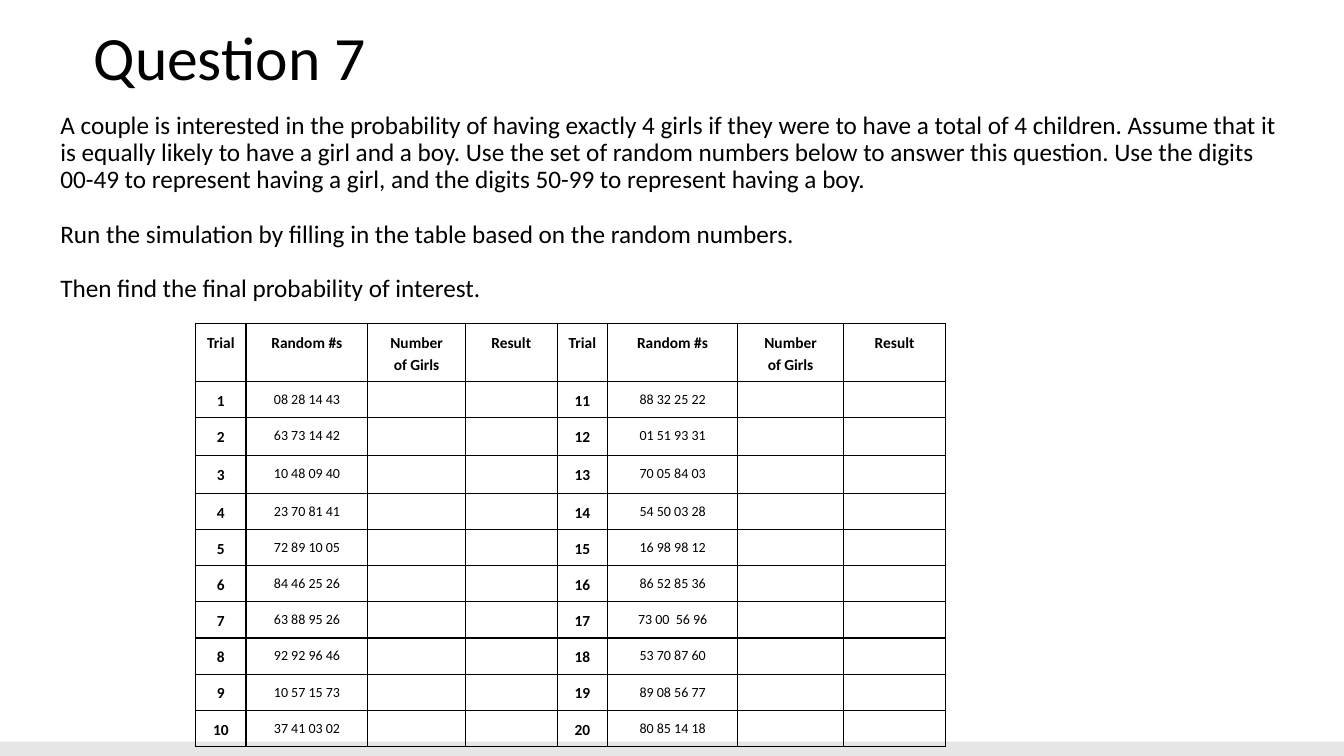
from lxml.etree import SubElement
from pptx import Presentation
from pptx.dml.color import RGBColor
from pptx.enum.shapes import MSO_SHAPE as Shape
from pptx.enum.text import MSO_ANCHOR as Anchor, MSO_AUTO_SIZE as AutoSize, PP_ALIGN as Align
from pptx.oxml.ns import qn
from pptx.util import Cm, Pt

# Content
TITLE = "Question 7"
BODY = [
    "A couple is interested in the probability of having exactly 4 girls if they were to have "
    "a total of 4 children. Assume that it is equally likely to have a girl and a boy. Use the "
    "set of random numbers below to answer this question. Use the digits 00-49 to represent "
    "having a girl, and the digits 50-99 to represent having a boy.",
    "Run the simulation by filling in the table based on the random numbers.",
    "Then find the final probability of interest.",
]
HEADINGS = ["Trial", "Random #s", "Number\nof Girls", "Result"]
RANDOM_NUMBERS = [
    "08 28 14 43", "63 73 14 42", "10 48 09 40", "23 70 81 41", "72 89 10 05",
    "84 46 25 26", "63 88 95 26", "92 92 96 46", "10 57 15 73", "37 41 03 02",
    "88 32 25 22", "01 51 93 31", "70 05 84 03", "54 50 03 28", "16 98 98 12",
    "86 52 85 36", "73 00  56 96", "53 70 87 60", "89 08 56 77", "80 85 14 18",
]
COLUMN_WIDTHS = [1.27, 3.07, 2.46, 2.31, 1.27, 3.28, 2.67, 2.57]
ROW_HEIGHTS = [1.45, 0.91, 0.96, 0.95] + [0.91] * 7
FONT, BLACK, GREY = "Calibri", "000000", "E7E6E6"


def color(value):
    return RGBColor.from_string(value)


def write(frame, lines, size, bold=False, align=Align.LEFT, spacing=0.9, gap=0,
          margin=0.25, anchor=Anchor.TOP):
    """Fill a text frame with one paragraph per line."""
    frame.word_wrap = True
    frame.vertical_anchor = anchor
    frame.margin_left = frame.margin_right = Cm(margin)
    frame.margin_top = frame.margin_bottom = Cm(margin)
    for index, line in enumerate(lines):
        para = frame.add_paragraph() if index else frame.paragraphs[0]
        para.alignment, para.line_spacing = align, spacing
        para.space_before, para.space_after = Pt(gap if index else 0), Pt(0)
        span = para.add_run()
        span.text = line
        span.font.name, span.font.size, span.font.bold = FONT, Pt(size), bold
        span.font.color.rgb = color(BLACK)


def place(shape, left, top, width, height):
    shape.left, shape.top = Cm(left), Cm(top)
    shape.width, shape.height = Cm(width), Cm(height)


def outline(cell):
    """Draw a thin black line on all four sides of a cell."""
    properties = cell._tc.get_or_add_tcPr()
    for side in ("a:lnL", "a:lnR", "a:lnT", "a:lnB"):
        line = SubElement(properties, qn(side), w=str(Pt(1)))
        SubElement(SubElement(line, qn("a:solidFill")), qn("a:srgbClr"), val=BLACK)
    cell.fill.background()


deck = Presentation()
deck.slide_width, deck.slide_height = Cm(33.87), Cm(19.05)
page = deck.slides.add_slide(deck.slide_layouts[1])

# Title and body
title, body = page.placeholders
place(title, 2.11, 0.48, 23.67, 2.11)
place(body, 1.27, 2.59, 31.32, 13.13)
write(title.text_frame, [TITLE], 44, anchor=Anchor.MIDDLE)
write(body.text_frame, BODY, 18, gap=19.5)
for box in (title, body):
    box.text_frame.auto_size = AutoSize.NONE
for para in body.text_frame.paragraphs:
    properties = para._p.get_or_add_pPr()
    properties.set("marL", "0")
    properties.set("indent", "0")
    SubElement(properties, qn("a:buNone"))

# Bottom band
band = page.shapes.add_shape(Shape.RECTANGLE, 0, Cm(18.69), deck.slide_width, Cm(0.36))
band.shadow.inherit = False
band.fill.solid()
band.fill.fore_color.rgb = color(GREY)
band.line.fill.background()

# Simulation table: two halves of ten trials side by side
half = len(RANDOM_NUMBERS) // 2
rows = [HEADINGS * 2]
for trial in range(half):
    rows.append([text for number in (trial, trial + half)
                 for text in (str(number + 1), RANDOM_NUMBERS[number], "", "")])

table = page.shapes.add_table(len(rows), len(COLUMN_WIDTHS), Cm(4.93), Cm(8.15),
                              Cm(sum(COLUMN_WIDTHS)), Cm(sum(ROW_HEIGHTS))).table
table.first_row = table.horz_banding = False
for column, width in zip(table.columns, COLUMN_WIDTHS):
    column.width = Cm(width)
for row, height in zip(table.rows, ROW_HEIGHTS):
    row.height = Cm(height)

for r, texts in enumerate(rows):
    for c, text in enumerate(texts):
        cell = table.cell(r, c)
        outline(cell)
        cell.margin_left = cell.margin_right = Cm(0.18)
        cell.margin_top = cell.margin_bottom = Cm(0.18)
        if text:
            is_bold = r == 0 or c % len(HEADINGS) == 0
            write(cell.text_frame, text.split("\n"), 11 if is_bold else 10, bold=is_bold,
                  align=Align.CENTER, spacing=1.15, margin=0.18)
        else:
            # A small font keeps an empty cell from stretching its row
            cell.text_frame.paragraphs[0]._p.get_or_add_endParaRPr().set("sz", "1000")

deck.save("out.pptx")
